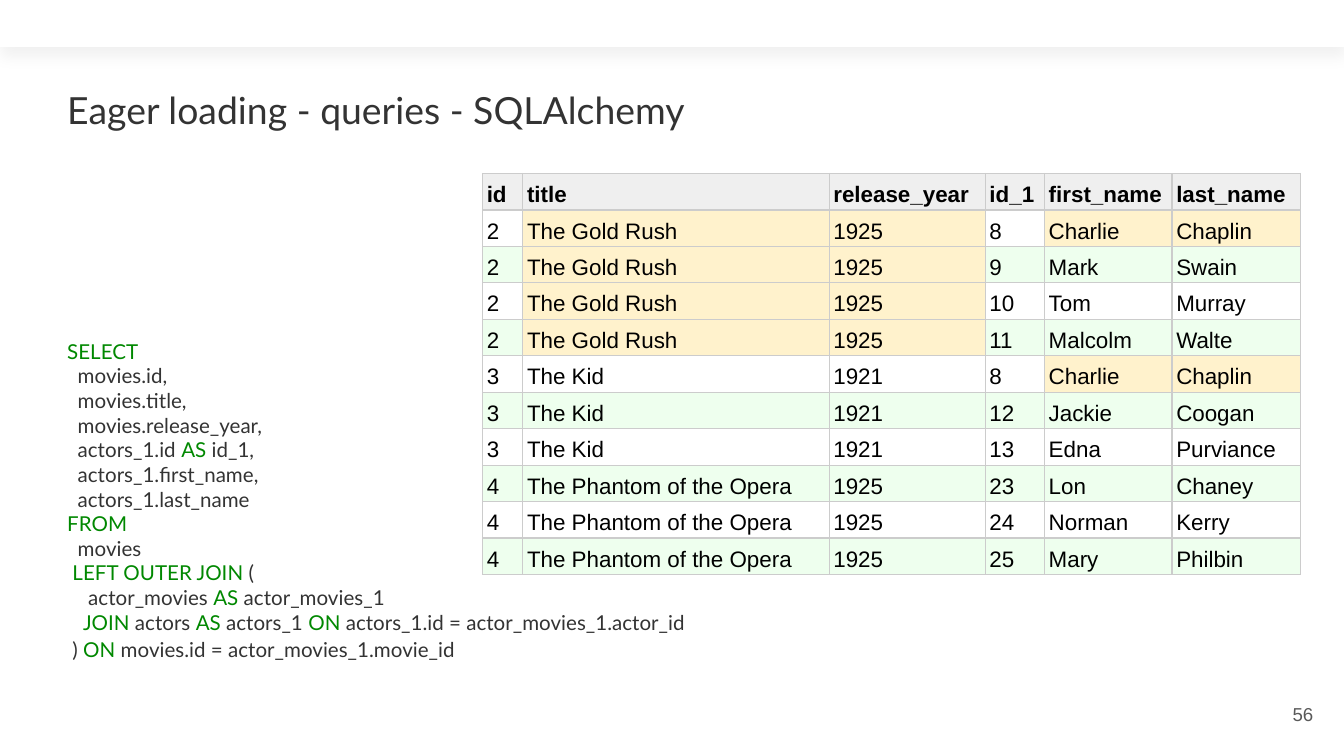
from lxml.etree import SubElement
from pptx import Presentation
from pptx.dml.color import RGBColor
from pptx.enum.shapes import MSO_SHAPE as Shape
from pptx.enum.text import MSO_ANCHOR as Anchor, MSO_AUTO_SIZE as AutoSize, PP_ALIGN as Align
from pptx.oxml.ns import qn
from pptx.util import Cm, Pt

TEXT, KEYWORD, WHITE = "333333", "008800", "FFFFFF"
HEADER_FILL, STRIPE, HIGHLIGHT, BORDER = "EFEFEF", "EEFFEE", "FFF2CC", "CCCCCC"

TITLE = "Eager loading - queries - SQLAlchemy"
QUERY = [
    "|SELECT|",
    "  movies.id,",
    "  movies.title,",
    "  movies.release_year,",
    "  actors_1.id |AS| id_1,",
    "  actors_1.first_name,",
    "  actors_1.last_name",
    "|FROM|",
    "  movies",
    " |LEFT OUTER JOIN| (",
    "    actor_movies |AS| actor_movies_1",
    "   |JOIN| actors |AS| actors_1 |ON| actors_1.id = actor_movies_1.actor_id",
    " ) |ON| movies.id = actor_movies_1.movie_id",
]
HEADER = ("id", "title", "release_year", "id_1", "first_name", "last_name")
COLUMN_WIDTHS = (0.76, 5.79, 2.95, 1.12, 2.41, 2.43)
MOVIES = [
    ("2", "The Gold Rush", "1925", [("8", "Charlie", "Chaplin"), ("9", "Mark", "Swain"),
                                    ("10", "Tom", "Murray"), ("11", "Malcolm", "Walte")]),
    ("3", "The Kid", "1921", [("8", "Charlie", "Chaplin"), ("12", "Jackie", "Coogan"),
                              ("13", "Edna", "Purviance")]),
    ("4", "The Phantom of the Opera", "1925", [("23", "Lon", "Chaney"), ("24", "Norman", "Kerry"),
                                               ("25", "Mary", "Philbin")]),
]


def color(value):
    """Turn a hex string into a colour."""
    return RGBColor.from_string(value)


def apply(target, values):
    """Set every attribute named in a dict of format values."""
    for name, value in values.items():
        setattr(target, name, value)


def place(shape, box):
    """Move a shape to a box of left, top, width and height in centimetres."""
    apply(shape, dict(zip(("left", "top", "width", "height"), map(Cm, box))))


def frame_format(vertical, anchor=Anchor.TOP):
    """Return the format values of a text frame with the given vertical margin."""
    return {"word_wrap": True, "auto_size": AutoSize.NONE, "vertical_anchor": anchor,
            "margin_left": Cm(0.25), "margin_right": Cm(0.25),
            "margin_top": Cm(vertical), "margin_bottom": Cm(vertical)}


def add_run(paragraph, text, size, fill, name="Lato", bold=False):
    """Add a formatted run to a paragraph."""
    run = paragraph.add_run()
    run.text = text
    apply(run.font, {"size": Pt(size), "name": name, "bold": bold})
    run.font.color.rgb = color(fill)


def add_top_band(slide, box):
    """Draw the white band with its soft shadow."""
    band = slide.shapes.add_shape(Shape.RECTANGLE, *map(Cm, box))
    band.fill.solid()
    band.fill.fore_color.rgb = color(WHITE)
    band.line.fill.background()
    band.shadow.inherit = False
    effects = band._element.spPr.find(qn("a:effectLst"))
    shadow = SubElement(effects, qn("a:outerShdw"), blurRad=str(Pt(7.9)), dist=str(Pt(3.8)),
                        dir=str(92 * 60000), algn="bl", rotWithShape="0")
    shade = SubElement(shadow, qn("a:srgbClr"), val="000000")
    SubElement(shade, qn("a:alpha"), val="5000")


def fill_title(title, box):
    """Place and write the slide title."""
    place(title, box)
    apply(title.text_frame, frame_format(0.13))
    paragraph = title.text_frame.paragraphs[0]
    paragraph.alignment = Align.LEFT
    add_run(paragraph, TITLE, 20, TEXT)


def fill_query(body, box):
    """Write the query with its keywords coloured."""
    place(body, box)
    frame = body.text_frame
    apply(frame, frame_format(0.25))
    for index, line in enumerate(QUERY):
        paragraph = frame.add_paragraph() if index else frame.paragraphs[0]
        properties = paragraph._p.get_or_add_pPr()
        apply(paragraph, {"space_before": Pt(0), "alignment": Align.LEFT,
                          "line_spacing": 1.11 if line == QUERY[-1] else 1.0})
        properties.set("marL", "0")
        properties.set("indent", "0")
        SubElement(properties, qn("a:buNone"))
        for part, text in enumerate(line.split("|")):
            if text:
                add_run(paragraph, text, 11, KEYWORD if part % 2 else TEXT)


def format_cell(cell, text, fill, bold):
    """Write one table cell with its borders and fill."""
    apply(cell, {"vertical_anchor": Anchor.BOTTOM, "margin_left": Cm(0.08),
                 "margin_right": Cm(0.08), "margin_top": Cm(0.05), "margin_bottom": Cm(0.05)})
    properties = cell._tc.get_or_add_tcPr()
    for side in ("lnL", "lnR", "lnT", "lnB"):
        line = SubElement(properties, qn(f"a:{side}"), w=str(Pt(0.75)))
        SubElement(SubElement(line, qn("a:solidFill")), qn("a:srgbClr"), val=BORDER)
    cell.fill.solid()
    cell.fill.fore_color.rgb = color(fill)
    paragraph = cell.text_frame.paragraphs[0]
    paragraph.line_spacing = 1.15
    add_run(paragraph, text, 12, "000000", "Arial", bold)


def cell_fill(row, column, values):
    """Choose the fill: header, repeated data or stripe."""
    if row == 0:
        return HEADER_FILL
    repeated_movie = values[1] == "The Gold Rush" and column in (1, 2)
    repeated_actor = values[4] == "Charlie" and column in (4, 5)
    if repeated_movie or repeated_actor:
        return HIGHLIGHT
    return WHITE if row % 2 else STRIPE


def add_result_table(slide, box):
    """Draw the joined rows returned by the query."""
    rows = [HEADER] + [(*movie, *actor) for *movie, actors in MOVIES for actor in actors]
    table = slide.shapes.add_table(len(rows), len(HEADER), *map(Cm, box)).table
    apply(table, {"first_row": False, "horz_banding": False})
    for column, width in zip(table.columns, COLUMN_WIDTHS):
        column.width = Cm(width)
    for row, values in enumerate(rows):
        table.rows[row].height = Cm(box[3] / len(rows))
        for column, text in enumerate(values):
            format_cell(table.cell(row, column), text, cell_fill(row, column, values), row == 0)


def add_slide_number(slide, box):
    """Write the slide number at the lower right."""
    frame = slide.shapes.add_textbox(*map(Cm, box)).text_frame
    apply(frame, frame_format(0.25, Anchor.MIDDLE))
    paragraph = frame.paragraphs[0]
    paragraph.alignment = Align.RIGHT
    add_run(paragraph, "56", 10, "595959", "Arial")


def main():
    """Build the slide and save it."""
    presentation = Presentation()
    apply(presentation, {"slide_width": Cm(25.4), "slide_height": Cm(14.29)})
    slide = presentation.slides.add_slide(presentation.slide_layouts[1])
    fill_query(slide.placeholders[1], (1.02, 6.15, 12.8, 6.63))
    add_slide_number(slide, (23.55, 12.95, 1.52, 1.09))
    add_top_band(slide, (0, -0.1, 25.4, 0.99))
    fill_title(slide.shapes.title, (1.02, 1.52, 14.53, 1.17))
    add_result_table(slide, (9.12, 3.28, sum(COLUMN_WIDTHS), 7.58))
    presentation.save("out.pptx")


if __name__ == "__main__":
    main()
